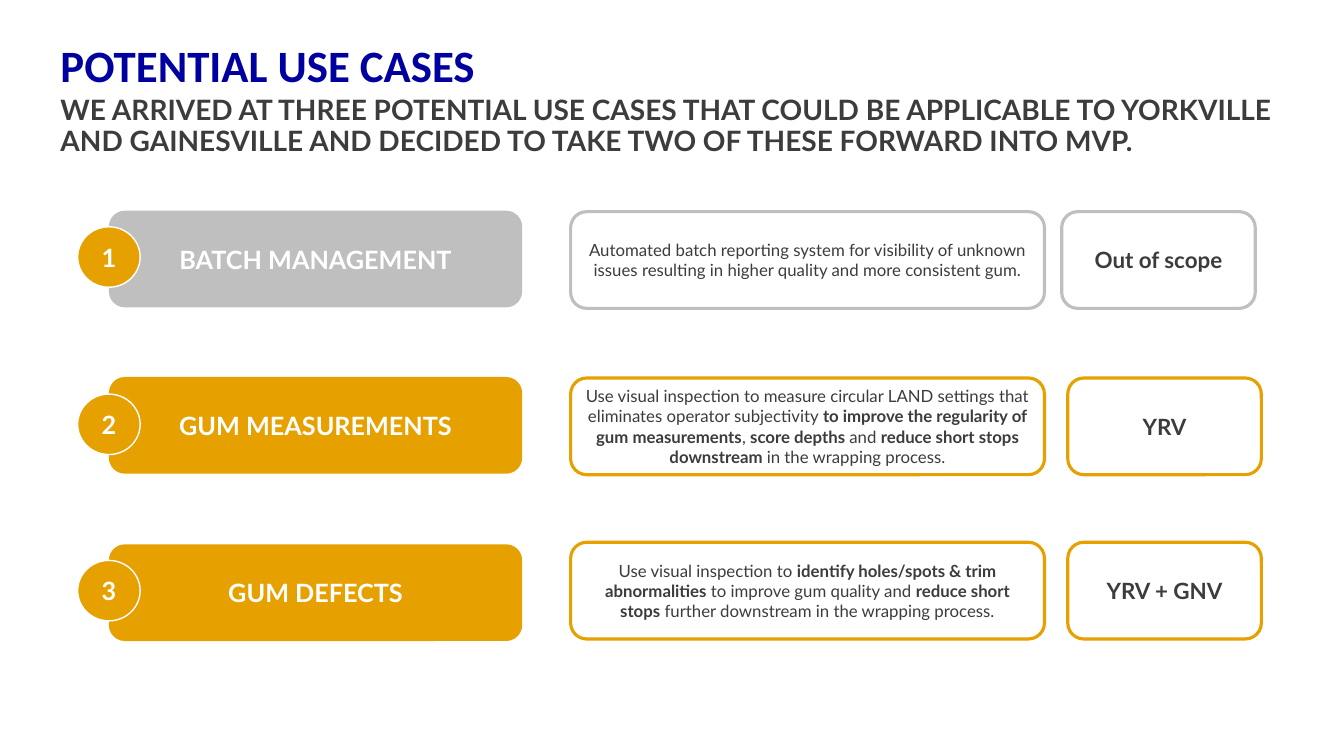
from dataclasses import dataclass

from pptx import Presentation
from pptx.dml.color import RGBColor
from pptx.enum.shapes import MSO_SHAPE
from pptx.enum.text import MSO_ANCHOR, PP_ALIGN
from pptx.slide import Slide
from pptx.text.text import _Paragraph as Paragraph
from pptx.util import Emu, Pt

EMU_PER_PX = 9144


@dataclass(frozen=True)
class Theme:
    navy: str = "0000A0"
    ink: str = "3C3C3C"
    gold: str = "E6A000"
    grey: str = "BFBFBF"
    white: str = "FFFFFF"
    heading_font: str = "Calibri"
    body_font: str = "Lato"
    heading_size: int = 32
    summary_size: int = 20
    label_size: int = 18
    scope_size: int = 16
    detail_size: int = 12
    card_line: float = 2.25
    badge_line: float = 1


@dataclass(frozen=True)
class Box:
    left: int
    top: int
    width: int
    height: int

    def emu(self) -> tuple[Emu, ...]:
        lengths = (self.left, self.top, self.width, self.height)
        return tuple(Emu(length * EMU_PER_PX) for length in lengths)


@dataclass(frozen=True)
class Words:
    text: str
    bold: bool = False


@dataclass(frozen=True)
class TextStyle:
    size: int
    color: str
    font: str


@dataclass(frozen=True)
class UseCase:
    name: str
    detail: tuple[Words, ...]
    scope: str
    color: str
    label_top: int
    badge_top: int
    card_top: int
    scope_left: int


THEME = Theme()
HEADING = TextStyle(THEME.heading_size, THEME.navy, THEME.heading_font)
SUMMARY = TextStyle(THEME.summary_size, THEME.ink, THEME.body_font)
LABEL = TextStyle(THEME.label_size, THEME.white, THEME.body_font)
DETAIL = TextStyle(THEME.detail_size, THEME.ink, THEME.body_font)
SCOPE = TextStyle(THEME.scope_size, THEME.ink, THEME.body_font)

ROW_HEIGHT = 96

USE_CASES = (
    UseCase(
        "BATCH MANAGEMENT",
        (
            Words(
                "Automated batch reporting system for visibility of unknown "
                "issues resulting in higher quality and more consistent gum."
            ),
        ),
        "Out of scope", THEME.grey, 209, 225, 210, 1053,
    ),
    UseCase(
        "GUM MEASUREMENTS",
        (
            Words(
                "Use visual inspection to measure circular LAND settings "
                "that eliminates operator subjectivity "
            ),
            Words("to improve the regularity of gum measurements", True),
            Words(", "),
            Words("score depths ", True),
            Words("and "),
            Words("reduce short stops downstream ", True),
            Words("in the wrapping process."),
        ),
        "YRV", THEME.gold, 374, 391, 375, 1059,
    ),
    UseCase(
        "GUM DEFECTS",
        (
            Words("Use visual inspection to "),
            Words("identify holes/spots & trim abnormalities ", True),
            Words("to improve gum quality and "),
            Words("reduce short stops", True),
            Words(" further downstream in the wrapping process."),
        ),
        "YRV + GNV", THEME.gold, 540, 556, 538, 1059,
    ),
)


def write(paragraph: Paragraph, words: tuple[Words, ...], style: TextStyle) -> None:
    for part in words:
        run = paragraph.add_run()
        run.text = part.text
        run.font.name = style.font
        run.font.size = Pt(style.size)
        run.font.bold = part.bold
        run.font.color.rgb = RGBColor.from_string(style.color)


def add_text(slide: Slide, box: Box, text: str, style: TextStyle, spacing: float) -> None:
    frame = slide.shapes.add_textbox(*box.emu()).text_frame
    frame.word_wrap = True
    frame.margin_left = frame.margin_top = 0
    frame.margin_right = frame.margin_bottom = 0
    paragraph = frame.paragraphs[0]
    paragraph.line_spacing = spacing
    write(paragraph, (Words(text, True),), style)


def add_panel(
    slide: Slide,
    kind: MSO_SHAPE,
    box: Box,
    words: tuple[Words, ...],
    style: TextStyle,
    fill: str | None = None,
    line: str | None = None,
    line_width: float = THEME.card_line,
) -> None:
    panel = slide.shapes.add_shape(kind, *box.emu())
    panel.shadow.inherit = False
    if fill:
        panel.fill.solid()
        panel.fill.fore_color.rgb = RGBColor.from_string(fill)
    else:
        panel.fill.background()
    if line:
        panel.line.color.rgb = RGBColor.from_string(line)
        panel.line.width = Pt(line_width)
    else:
        panel.line.fill.background()
    frame = panel.text_frame
    frame.word_wrap = True
    frame.vertical_anchor = MSO_ANCHOR.MIDDLE
    paragraph = frame.paragraphs[0]
    paragraph.alignment = PP_ALIGN.CENTER
    write(paragraph, words, style)


def add_use_case(slide: Slide, number: int, case: UseCase) -> None:
    rounded = MSO_SHAPE.ROUNDED_RECTANGLE
    add_panel(slide, rounded, Box(108, case.label_top, 410, ROW_HEIGHT),
              (Words(case.name, True),), LABEL, fill=case.color)
    add_panel(slide, MSO_SHAPE.OVAL, Box(77, case.badge_top, 62, 60),
              (Words(str(number), True),), LABEL, fill=THEME.gold,
              line=THEME.white, line_width=THEME.badge_line)
    add_panel(slide, rounded, Box(566, case.card_top, 470, ROW_HEIGHT),
              case.detail, DETAIL, line=case.color)
    add_panel(slide, rounded, Box(case.scope_left, case.card_top, 192, ROW_HEIGHT),
              (Words(case.scope, True),), SCOPE, line=case.color)


def main() -> None:
    deck = Presentation()
    deck.slide_width = Emu(1333 * EMU_PER_PX)
    deck.slide_height = Emu(750 * EMU_PER_PX)
    slide = deck.slides.add_slide(deck.slide_layouts[6])
    add_text(slide, Box(60, 52, 1035, 96), "POTENTIAL USE CASES", HEADING, 0.7)
    for number, case in enumerate(USE_CASES, start=1):
        add_use_case(slide, number, case)
    add_text(
        slide, Box(60, 96, 1229, 503),
        "WE ARRIVED AT THREE POTENTIAL USE CASES THAT COULD BE APPLICABLE TO "
        "YORKVILLE AND GAINESVILLE AND DECIDED TO TAKE TWO OF THESE FORWARD INTO MVP.",
        SUMMARY, 0.9,
    )
    deck.save("out.pptx")


if __name__ == "__main__":
    main()
